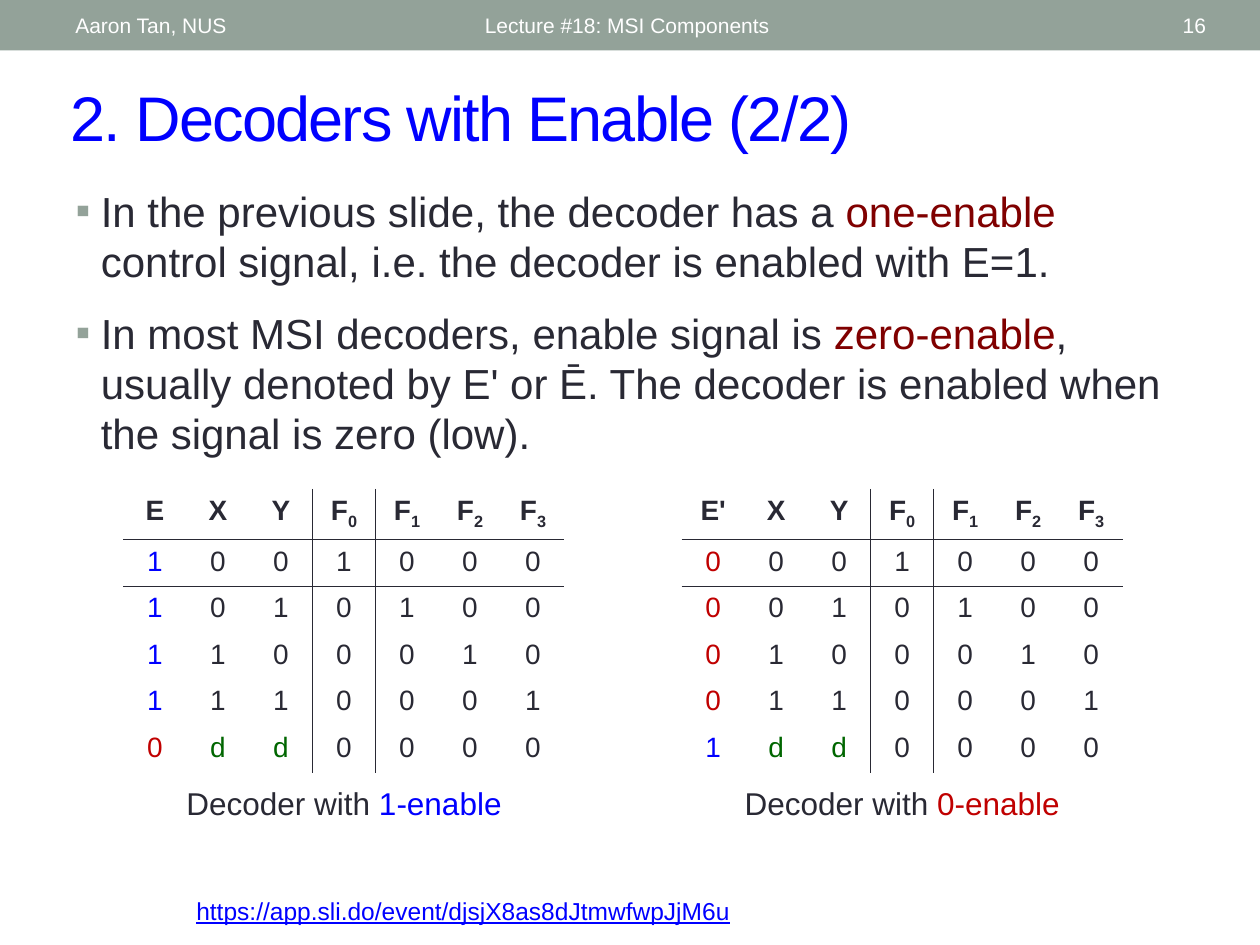
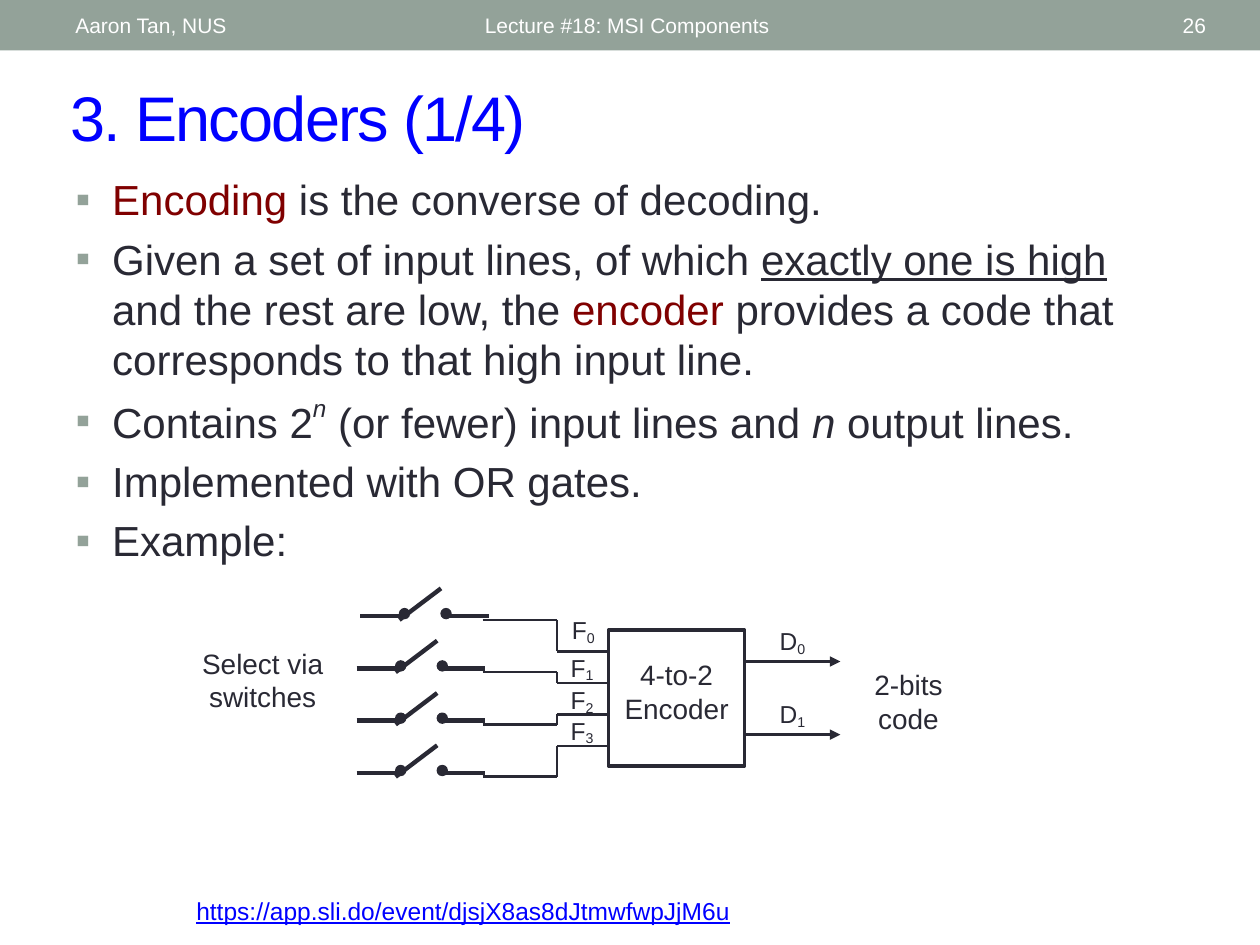
from lxml.etree import SubElement
from pptx import Presentation
from pptx.dml.color import RGBColor
from pptx.enum.shapes import MSO_CONNECTOR, MSO_SHAPE
from pptx.enum.text import MSO_ANCHOR, MSO_AUTO_SIZE, PP_ALIGN
from pptx.oxml import parse_xml
from pptx.oxml.ns import nsdecls, qn
from pptx.util import Inches, Pt

FONT = "Arial"
INK = RGBColor(0x29, 0x29, 0x34)
SAGE = RGBColor(0x93, 0xA2, 0x99)
WHITE = RGBColor(0xFF, 0xFF, 0xFF)
BLUE = RGBColor(0x00, 0x00, 0xFF)
MAROON = RGBColor(0x80, 0x00, 0x00)
RED = RGBColor(0xC0, 0x00, 0x00)
GREEN = RGBColor(0x00, 0x66, 0x00)
NO_STYLE_NO_GRID = "{2D5ABB26-0587-4C30-8999-92F81FD0307C}"
LINK = "https://app.sli.do/event/djsjX8as8dJtmwfwpJjM6u"


def write(para, spans, size, color=INK, align=PP_ALIGN.LEFT):
    """Fill a paragraph with spans: a string, or (string, colour or style dict)."""
    para.alignment = align
    para.font.name, para.font.size, para.font.color.rgb = FONT, Pt(size), color
    for item in spans:
        text, style = (item, {}) if isinstance(item, str) else item
        if isinstance(style, RGBColor):
            style = {"color": style}
        span = para.add_run()
        span.text = text
        span.font.name, span.font.size = FONT, Pt(size)
        span.font.color.rgb = style.get("color", color)
        span.font.underline = style.get("underline")
        span.font.italic = style.get("italic")
        if "baseline" in style:
            span.font._element.set("baseline", str(style["baseline"] * 1000))


def add_text(page, place, spans, size, color=INK, align=PP_ALIGN.CENTER,
             anchor=MSO_ANCHOR.TOP):
    box = page.shapes.add_textbox(*map(Inches, place))
    box.text_frame.word_wrap = True
    box.text_frame.vertical_anchor = anchor
    write(box.text_frame.paragraphs[0], spans, size, color, align)


deck = Presentation()
deck.slide_width, deck.slide_height = Inches(10), Inches(7.5)

# Each page: number, title, body place, bullet indent, space between bullets, bullets
PAGES = [
    ("16", "2. Decoders with Enable (2/2)", (0.5, 1.42, 9, 2.39), 0.2, 12, [
        ["In the previous slide, the decoder has a ", ("one-enable", MAROON),
         " control signal, i.e. the decoder is enabled with E=1."],
        ["In most MSI decoders, enable signal is ", ("zero-enable", MAROON),
         ", usually denoted by E' or Ē. The decoder is enabled when the signal "
         "is zero (low)."],
    ]),
    ("26", "3. Encoders (1/4)", (0.5, 1.33, 9, 3.56), 0.29, 5, [
        [("Encoding", MAROON), " is the converse of decoding."],
        ["Given a set of input lines, of which ",
         ("exactly one is high", {"underline": True}),
         " and the rest are low, the ", ("encoder ", MAROON),
         "provides a code that corresponds to that high input line."],
        ["Contains 2", ("n", {"italic": True, "baseline": 50}),
         " (or fewer) input lines and ", ("n", {"italic": True}), " output lines."],
        ["Implemented with OR gates."],
        ["Example:"],
    ]),
]

for number, heading, body_place, indent, gap, bullets in PAGES:
    page = deck.slides.add_slide(deck.slide_layouts[1])
    band = page.shapes.add_shape(MSO_SHAPE.RECTANGLE, 0, 0, Inches(10), Inches(0.4))
    band.shadow.inherit = False
    band.fill.solid()
    band.fill.fore_color.rgb = SAGE
    band.line.fill.background()
    for left, width, text, align in [
        (0.5, 3.17, "Aaron Tan, NUS", PP_ALIGN.LEFT),
        (3.75, 4.5, "Lecture #18: MSI Components", PP_ALIGN.LEFT),
        (8.72, 0.95, number, PP_ALIGN.RIGHT),
    ]:
        add_text(page, (left, 0.02, width, 0.36), [text], 12, WHITE, align,
                 MSO_ANCHOR.MIDDLE)
    add_text(page, (1.46, 7.06, 8.04, 0.34), [(LINK, {"color": BLUE, "underline": True})],
             14, BLUE, PP_ALIGN.LEFT)

    title, body = page.shapes.title, page.placeholders[1]
    for holder, place in [(title, (0.46, 0.57, 9.3, 0.7)), (body, body_place)]:
        holder.left, holder.top, holder.width, holder.height = map(Inches, place)
        holder.text_frame.auto_size = MSO_AUTO_SIZE.NONE
    title.text_frame.vertical_anchor = MSO_ANCHOR.MIDDLE
    para = title.text_frame.paragraphs[0]
    write(para, [heading], 36, BLUE)
    para.runs[0].font._element.set("spc", "-100")

    for index, spans in enumerate(bullets):
        frame = body.text_frame
        para = frame.add_paragraph() if index else frame.paragraphs[0]
        para.space_before = Pt(gap if index else 0)
        props = para._p.get_or_add_pPr()
        props.set("marL", str(Inches(indent)))
        props.set("indent", str(-Inches(indent)))
        color = SubElement(props, qn("a:buClr"))
        SubElement(color, qn("a:srgbClr"), val=str(SAGE))
        SubElement(props, qn("a:buFont"), typeface=FONT)
        SubElement(props, qn("a:buChar"), char="▪")
        write(para, spans, 24)

# Truth tables of the two decoders
decoder_page, encoder_page = deck.slides
OUTPUT_ROWS = ["001000", "010100", "100010", "110001", "dd0000"]
SUBSCRIPT = {"baseline": -25}
for left, enable, active, idle, caption in [
    (0.98, "E", ("1", BLUE), ("0", RED), ("1-enable", BLUE)),
    (5.41, "E'", ("0", RED), ("1", BLUE), ("0-enable", RED)),
]:
    rows = [[[enable], ["X"], ["Y"]] + [["F", (str(n), SUBSCRIPT)] for n in range(4)]]
    for values in OUTPUT_ROWS:
        signal = idle if "d" in values else active
        rows.append([[signal]] + [[(v, GREEN if v == "d" else INK)] for v in values])

    table = decoder_page.shapes.add_table(
        6, 7, Inches(left), Inches(3.88), Inches(3.5), Inches(2.2)).table
    table._tbl.tblPr.find(qn("a:tableStyleId")).text = NO_STYLE_NO_GRID
    table.first_row = table.horz_banding = False
    for r, row in enumerate(rows):
        table.rows[r].height = Inches(0.37 if r else 0.4)
        for c, spans in enumerate(row):
            cell = table.cell(r, c)
            para = cell.text_frame.paragraphs[0]
            write(para, spans, 16, align=PP_ALIGN.CENTER)
            for span in para.runs:
                span.font.bold = r == 0
            props = cell._tc.get_or_add_tcPr()
            for side, ruled in [("lnR", c in (2, 3)), ("lnB", r in (0, 1))]:
                if ruled:
                    props.append(parse_xml(
                        f'<a:{side} {nsdecls("a")} w="{Pt(1)}"><a:solidFill>'
                        f'<a:srgbClr val="{INK}"/></a:solidFill></a:{side}>'))
            cell.fill.background()
    add_text(decoder_page, (left + 0.06, 6.17, 3.38, 0.4), ["Decoder with ", caption], 18)

# Encoder circuit: lines are (x1, y1, x2, y2, points, has arrowhead)
encoder = encoder_page.shapes.add_shape(
    MSO_SHAPE.RECTANGLE, *map(Inches, (4.83, 5, 1.08, 1.08)))
encoder.shadow.inherit = False
encoder.fill.background()
encoder.line.color.rgb, encoder.line.width = INK, Pt(2)

lines = [(5.92, y, 6.67, y, 1.5, True) for y in (5.25, 5.83)]
for index in range(4):
    left = 2.83 if index else 2.86
    top = 4.67 + 0.415 * index
    wire, pin = top + 0.25, 5.17 + 0.25 * index
    for offset in (0.31, 0.64):
        contact = encoder_page.shapes.add_shape(
            MSO_SHAPE.OVAL, *map(Inches, (left + offset, top + 0.16, 0.08, 0.08)))
        contact.shadow.inherit = False
        contact.fill.solid()
        contact.fill.fore_color.rgb = contact.line.color.rgb = INK
        contact.line.width = Pt(0.75)
    lines += [
        (left + 0.64, top, left + 0.31, wire, 2.5, False),
        (left, top + 0.22, left + 0.33, top + 0.22, 2.5, False),
        (left + 0.69, top + 0.22, left + 1.02, top + 0.22, 2.5, False),
        (3.83, wire, 4.42, wire, 1.5, False),
        (4.42, wire, 4.42, pin, 1.5, False),
        (4.42, pin, 4.83, pin, 1.5, False),
    ]

for x1, y1, x2, y2, points, arrow in lines:
    line = encoder_page.shapes.add_connector(
        MSO_CONNECTOR.STRAIGHT, *map(Inches, (x1, y1, x2, y2)))
    line.line.color.rgb, line.line.width = INK, Pt(points)
    if arrow:
        SubElement(line.line._get_or_add_ln(), qn("a:tailEnd"), type="triangle")
    SubElement(line._element.spPr, qn("a:effectLst"))

for letter, digit, left, top in [
    ("F", "0", 4.42, 4.83), ("F", "1", 4.41, 5.13), ("F", "2", 4.41, 5.39),
    ("F", "3", 4.41, 5.63), ("D", "0", 6.08, 4.92), ("D", "1", 6.08, 5.5),
]:
    add_text(encoder_page, (left, top, 0.42, 0.33),
             [letter, (digit, {"baseline": -16})], 14)
for text, left, top, width in [
    ("4-to-2 Encoder", 4.83, 5.17, 1.08),
    ("Select via switches", 1.5, 5.08, 1.17),
    ("2-bits code", 6.75, 5.25, 0.92),
]:
    add_text(encoder_page, (left, top, width, 0.64), [text], 16)

deck.save("out.pptx")
